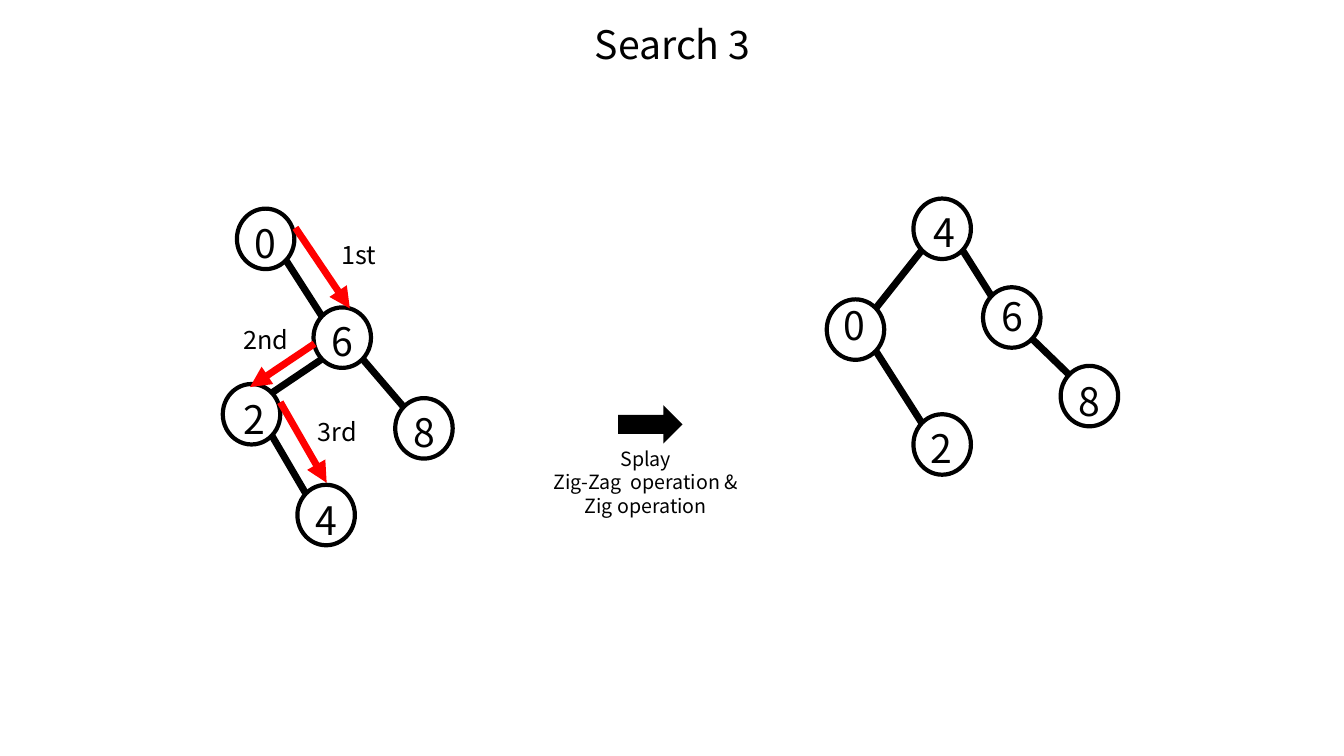
from lxml.etree import SubElement
from pptx import Presentation
from pptx.dml.color import RGBColor
from pptx.enum.shapes import MSO_CONNECTOR, MSO_SHAPE
from pptx.enum.text import MSO_AUTO_SIZE, PP_ALIGN
from pptx.oxml.ns import qn
from pptx.util import Inches, Pt

BLACK = RGBColor(0x00, 0x00, 0x00)
RED = RGBColor(0xFF, 0x00, 0x00)

WIDE, HIGH = 0.57, 0.6
NEAR, FAR = 0.146, 0.854

BEFORE = {
    "0": (2.35, 2.07, -0.04, 0.06),
    "6": (3.11, 3.05, -0.03, 0.05),
    "2": (2.21, 3.81, -0.01, 0.06),
    "8": (3.92, 3.95, -0.03, 0.05),
    "4": (2.95, 4.81, -0.03, 0.06),
}
AFTER = {
    "4": (9.06, 1.97, -0.01, 0.05),
    "0": (8.2, 2.97, -0.05, -0.03),
    "6": (9.75, 2.85, -0.03, 0),
    "8": (10.52, 3.63, -0.04, 0.06),
    "2": (9.06, 4.11, -0.04, 0.05),
}
TREES = [
    (BEFORE, ["06", "62", "68", "24"]),
    (AFTER, ["40", "46", "68", "02"]),
]
STEPS = [
    ("1st", (2.93, 2.26), (3.47, 3.06), (3.06, 2.33)),
    ("2nd", (3.12, 3.41), (2.48, 3.84), (2.14, 3.17)),
    ("3rd", (2.78, 3.99), (3.24, 4.79), (2.85, 4.08)),
]


class Board:
    font = {"name": "Noto Sans CJK KR"}
    frame = {"word_wrap": True, "auto_size": MSO_AUTO_SIZE.SHAPE_TO_FIT_TEXT}

    def __init__(self, deck):
        self.slide = deck.slides.add_slide(deck.slide_layouts[6])

    def style(self, item, form):
        for key, value in form.items():
            setattr(item, key, value)

    def text(self, box, lines, size):
        frame = self.slide.shapes.add_textbox(*map(Inches, box)).text_frame
        self.style(frame, self.frame)
        frame.text = "\n".join(lines)
        for para in frame.paragraphs:
            para.alignment = PP_ALIGN.CENTER
            self.style(para.font, {**self.font, "size": Pt(size)})
            para.font.color.rgb = BLACK

    def shape(self, kind, box):
        shape = self.slide.shapes.add_shape(kind, *map(Inches, box))
        shape.shadow.inherit = False
        return shape

    def block(self, box):
        arrow = self.shape(MSO_SHAPE.RIGHT_ARROW, box)
        arrow.fill.solid()
        arrow.fill.fore_color.rgb = BLACK
        arrow.line.fill.background()

    def node(self, label, spot):
        x, y, right, down = spot
        ring = self.shape(MSO_SHAPE.OVAL, (x, y, WIDE, HIGH))
        ring.fill.background()
        ring.line.color.rgb = BLACK
        ring.line.width = Pt(3)
        self.text((x + right, y + down, 0.64, 0.57), [label], 28)

    def line(self, start, end, color, head=False):
        line = self.slide.shapes.add_connector(
            MSO_CONNECTOR.STRAIGHT, *map(Inches, (*start, *end)))
        line.line.color.rgb = color
        line.line.width = Pt(5)
        props = line._element.spPr
        SubElement(props, qn("a:effectLst"))
        if head:
            SubElement(props.find(qn("a:ln")), qn("a:tailEnd"), type="triangle")

    def edge(self, top, low):
        out, into = (FAR, NEAR) if low[0] > top[0] else (NEAR, FAR)
        if top[0] == low[0]:
            out = into = 0.5
        self.line((top[0] + WIDE * out, top[1] + HIGH * FAR),
                  (low[0] + WIDE * into, low[1] + HIGH * NEAR), BLACK)

    def tree(self, nodes, links):
        for label, spot in nodes.items():
            self.node(label, spot)
        for top, low in links:
            self.edge(nodes[top], nodes[low])

    def step(self, label, start, end, spot):
        self.line(start, end, RED, head=True)
        self.text((*spot, 0.99, 0.4), [label], 18)


def main():
    deck = Presentation()
    deck.slide_width, deck.slide_height = Inches(13.33), Inches(7.5)
    board = Board(deck)
    board.text((5.28, 0.15, 2.78, 0.57), ["Search 3"], 28)
    board.block((6.13, 4.02, 0.64, 0.38))
    board.text((5.28, 4.38, 2.25, 0.81),
               ["Splay", "Zig-Zag  operation & Zig operation"], 14)
    for nodes, links in TREES:
        board.tree(nodes, links)
    for step in STEPS:
        board.step(*step)
    deck.save("out.pptx")


if __name__ == "__main__":
    main()
